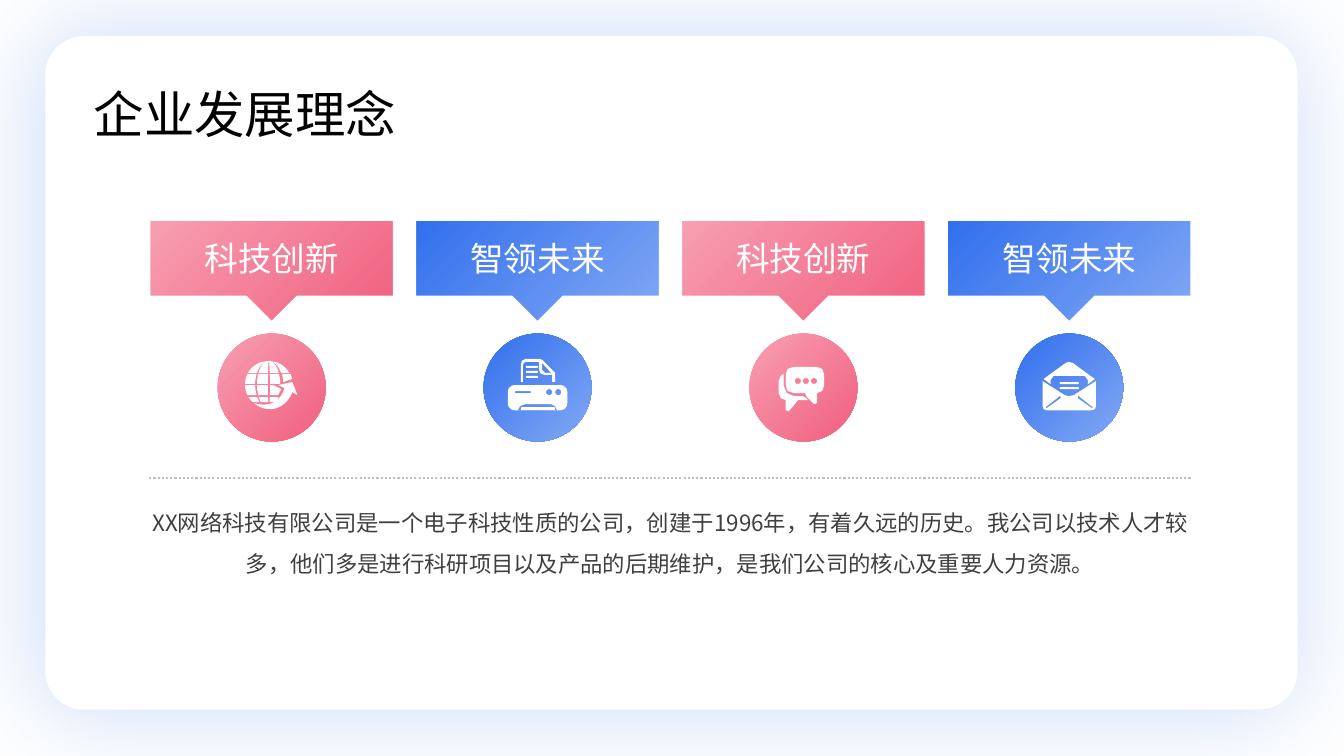
from math import cos, pi, sin, sqrt

from lxml import etree
from pptx import Presentation
from pptx.dml.color import RGBColor
from pptx.enum.dml import MSO_LINE
from pptx.enum.shapes import MSO_CONNECTOR, MSO_SHAPE
from pptx.enum.text import MSO_ANCHOR, PP_ALIGN
from pptx.oxml.ns import qn
from pptx.util import Inches, Pt

CALLOUT, OVAL, ROUNDED = MSO_SHAPE.DOWN_ARROW_CALLOUT, MSO_SHAPE.OVAL, MSO_SHAPE.ROUNDED_RECTANGLE
STRAIGHT, DOTTED = MSO_CONNECTOR.STRAIGHT, MSO_LINE.ROUND_DOT
TOP, MIDDLE = MSO_ANCHOR.TOP, MSO_ANCHOR.MIDDLE
CENTER, JUSTIFY = PP_ALIGN.CENTER, PP_ALIGN.JUSTIFY

WHITE, BLACK = RGBColor(0xFF, 0xFF, 0xFF), RGBColor(0, 0, 0)
GREY, RULE = RGBColor(0x40, 0x40, 0x40), RGBColor(0xBF, 0xBF, 0xBF)
PINK = RGBColor(0xF7, 0x9F, 0xB2), RGBColor(0xF1, 0x5F, 0x7E)
BLUE = RGBColor(0x31, 0x6F, 0xED), RGBColor(0x83, 0xA9, 0xF4)
GLOW = "2C75E6"
FONT = "Noto Sans CJK SC"
ICON_GRID = 107


def arc(cx, cy, r, start=0, end=2 * pi, steps=24):
    """Return points along a circle."""
    turns = [start + (end - start) * i / steps for i in range(steps + 1)]
    return [(cx + r * cos(t), cy + r * sin(t)) for t in turns]


def pill(x, y, w, h, r):
    """Return the outline of a rounded rectangle."""
    corners = [(x + w - r, y + h - r), (x + r, y + h - r), (x + r, y + r), (x + w - r, y + r)]
    return [p for i, (cx, cy) in enumerate(corners)
            for p in arc(cx, cy, r, i * pi / 2, (i + 1) * pi / 2, 6)]


def bezier(*controls, steps=16):
    """Return points along a cubic curve."""
    weights = [((1 - t) ** 3, 3 * t * (1 - t) ** 2, 3 * t * t * (1 - t), t ** 3)
               for t in (i / steps for i in range(steps + 1))]
    return [tuple(sum(w * c[axis] for w, c in zip(ws, controls)) for axis in (0, 1))
            for ws in weights]


def globe_cell(column, row, cx=50.5, cy=50.5, r=23.5, steps=8):
    """Return one cell between two meridians and two parallels."""
    ys = [row[0] + (row[1] - row[0]) * i / steps for i in range(steps + 1)]
    left, right = ([(cx + k * sqrt(max(r * r - (y - cy) ** 2, 0)), y) for y in ys]
                   for k in column)
    return left + right[::-1]


def globe_icon():
    """Return the pieces of a globe with an arrow around it."""
    columns = [(-1, -0.57), (-0.49, -0.03), (0.06, 0.49), (0.6, 1)]
    rows = [(27, 39), (40, 50), (51, 61), (63, 68)]
    skipped = {(2, 2), (3, 1), (3, 2), (3, 3)}
    cells = [globe_cell(c, r) for i, c in enumerate(columns)
             for j, r in enumerate(rows) if (i, j) not in skipped]
    cells += [[(52, 51), (55, 51), (59, 53), (63, 55), (62, 57), (60, 61), (52, 61)],
              [(64, 40), (72, 40), (74, 45), (65, 48)]]
    arrow = bezier((36, 69), (52, 82), (69, 72), (74, 58))
    arrow += [(79, 61), (74, 48), (60, 51)]
    arrow += bezier((66, 54), (66, 54), (62, 76), (36, 69))
    return [cells, [arrow]]


def printer_icon():
    """Return the pieces of a printer with a folded sheet."""
    sheet = [(37, 48), (37, 31), (38, 27), (42, 25), (56, 25), (58, 26), (71, 39), (71, 48),
             (68, 48), (68, 41), (61, 41), (57, 40), (55, 36), (55, 28), (42, 28), (40, 29),
             (39, 31), (39, 48)]
    fold = [(58, 29), (67, 39), (61, 39), (58, 36)]
    lines = [pill(42, y, 12, 2, 1) for y in (32, 37, 42)]
    slot = [(34, 76), (36, 72), (41, 70), (67, 70), (71, 72), (73, 76)]
    body = [pill(24, 51, 59, 25, 7), pill(31, 57, 16, 2, 1), slot]
    body += [arc(x, 58, 3) for x in (65, 74)]
    return [[sheet, fold] + lines, body, [pill(37, 73, 34, 3, 1)]]


def chat_icon():
    """Return the pieces of two speech bubbles."""
    back = [(34, 40), (31, 42), (29, 47), (29, 59), (31, 64), (36, 66), (36, 76), (39, 77),
            (45, 70), (48, 66), (58, 66), (56, 64), (53, 62), (44, 62), (37, 59), (34, 52)]
    front = [(44, 33), (67, 33), (72, 35), (74, 40), (74, 52), (72, 57), (67, 59), (67, 69),
             (64, 70), (57, 63), (55, 59), (44, 59), (38, 57), (36, 52), (36, 40), (38, 35)]
    return [[back], [front] + [arc(x, 47, 3) for x in (48, 56, 64)]]


def envelope_icon():
    """Return the pieces of an open envelope with a letter."""
    flap = [(28, 45), (50, 29), (53, 28), (57, 29), (76, 43), (79, 45), (72, 50), (72, 46),
            (69, 42), (38, 42), (35, 46), (35, 50)]
    body = [(27, 47), (49, 61), (53, 62), (58, 61), (80, 47), (80, 72), (79, 75), (75, 76),
            (31, 76), (28, 75), (27, 72)]
    slit = [(30, 73), (31, 74), (45, 64), (45, 62), (44, 62)]
    mirrored = [(ICON_GRID - x, y) for x, y in slit]
    return [[flap], [body, slit, mirrored]] + [[pill(44, y, 19, 2, 1)] for y in (48, 53)]


def write(tf, text, size, color, **formats):
    """Write one paragraph with its font and formats."""
    p = tf.paragraphs[0]
    r = p.add_run()
    r.text = text
    for name, value in {"name": FONT, "size": Pt(size), "bold": False}.items():
        setattr(r.font, name, value)
    r.font.color.rgb = color
    etree.SubElement(r.font._element, qn("a:ea"), typeface=FONT)
    for name, value in formats.items():
        setattr(p, name, value)


def add_preset(slide, kind, box, colors, line=None):
    """Add a shape with a plain or diagonal gradient fill."""
    sp = slide.shapes.add_shape(kind, *map(Inches, box))
    sp.shadow.inherit = False
    if len(colors) == 1:
        sp.fill.solid()
        sp.fill.fore_color.rgb = colors[0]
    else:
        sp.fill.gradient()
        sp.fill.gradient_angle = 315
        for stop, color in zip(sp.fill.gradient_stops, colors):
            stop.color.rgb = color
    if line:
        sp.line.color.rgb = WHITE
        sp.line.width = Pt(line)
    else:
        sp.line.fill.background()
    return sp


def add_panel(slide, box):
    """Place the glowing white panel behind everything."""
    sp = add_preset(slide, ROUNDED, box, [WHITE], 1.5)
    sp.adjustments[0] = 0.056
    effects = sp._element.spPr.find(qn("a:effectLst"))
    glow = etree.SubElement(effects, qn("a:outerShdw"), blurRad=str(Pt(76)), dist=str(Pt(3)),
                            dir="10800000", algn="ctr", rotWithShape="0")
    color = etree.SubElement(glow, qn("a:srgbClr"), val=GLOW)
    etree.SubElement(color, qn("a:alpha"), val="26000")
    slide.shapes._spTree.insert(2, sp._element)


def add_title(slide, box, text):
    """Move and fill the title placeholder."""
    sp = slide.shapes.title
    for name, value in zip(("left", "top", "width", "height"), box):
        setattr(sp, name, Inches(value))
    sp.text_frame.vertical_anchor = TOP
    write(sp.text_frame, text, 36, BLACK, alignment=JUSTIFY)


def add_icon(slide, box, pieces):
    """Draw white outlines on the icon grid of the box."""
    x, y, w, h = box
    for outlines in pieces:
        fine = [[(px * 10, py * 10) for px, py in outline] for outline in outlines]
        builder = slide.shapes.build_freeform(*fine[0][0], scale=Inches(w) / (ICON_GRID * 10))
        for i, points in enumerate(fine):
            if i:
                builder.move_to(*points[0])
            builder.add_line_segments(points[1:], close=True)
        sp = builder.convert_to_shape(Inches(x), Inches(y))
        sp.shadow.inherit = False
        sp.fill.solid()
        sp.fill.fore_color.rgb = WHITE
        sp.line.fill.background()


def add_concept(slide, box, text, colors, pieces):
    """Place a callout above its icon disc."""
    x, y, w, h = box
    disc = 1.07
    sp = add_preset(slide, CALLOUT, (x, y, w, 1.02), colors, 1.75)
    for i, value in enumerate((0.5, 0.25, 0.25, 0.75)):
        sp.adjustments[i] = value
    sp.text_frame.vertical_anchor = MIDDLE
    write(sp.text_frame, text, 24, WHITE, alignment=CENTER)
    disc_box = (x + (w - disc) / 2, y + h - disc, disc, disc)
    add_preset(slide, OVAL, disc_box, colors)
    add_icon(slide, disc_box, pieces)


def add_summary(slide, box, text):
    """Place a dotted rule with centred text below it."""
    x, y, w, h = box
    rule = slide.shapes.add_connector(STRAIGHT, *map(Inches, (x, y, x + w, y)))
    etree.SubElement(rule._element.spPr, qn("a:effectLst"))
    rule.line.color.rgb = RULE
    rule.line.width = Pt(1.5)
    rule.line.dash_style = DOTTED
    tf = slide.shapes.add_textbox(*map(Inches, (x, y + 0.18, w, h - 0.18))).text_frame
    for name in ("margin_left", "margin_top", "margin_right", "margin_bottom"):
        setattr(tf, name, 0)
    tf.word_wrap = True
    write(tf, text, 16, GREY, alignment=CENTER, line_spacing=1.5)


def main():
    """Build and save the slide."""
    prs = Presentation()
    prs.slide_width, prs.slide_height = Inches(13.33), Inches(7.5)
    slide = prs.slides.add_slide(prs.slide_layouts[5])
    add_panel(slide, (0.46, 0.37, 12.4, 6.66))
    add_title(slide, (0.83, 0.77, 3.4, 0.71), "企业发展理念")
    left, width, column = 1.48, 10.34, 2.43
    pitch = (width - column) / 3
    themes = [("科技创新", PINK), ("智领未来", BLUE)]
    icons = [globe_icon(), printer_icon(), chat_icon(), envelope_icon()]
    for i, pieces in enumerate(icons):
        add_concept(slide, (left + i * pitch, 2.18, column, 2.2), *themes[i % 2], pieces)
    add_summary(slide, (left, 4.74, width, 0.99),
                "XX网络科技有限公司是一个电子科技性质的公司，创建于1996年，有着久远的历史。"
                "我公司以技术人才较多，他们多是进行科研项目以及产品的后期维护，"
                "是我们公司的核心及重要人力资源。")
    prs.save("out.pptx")


if __name__ == "__main__":
    main()
